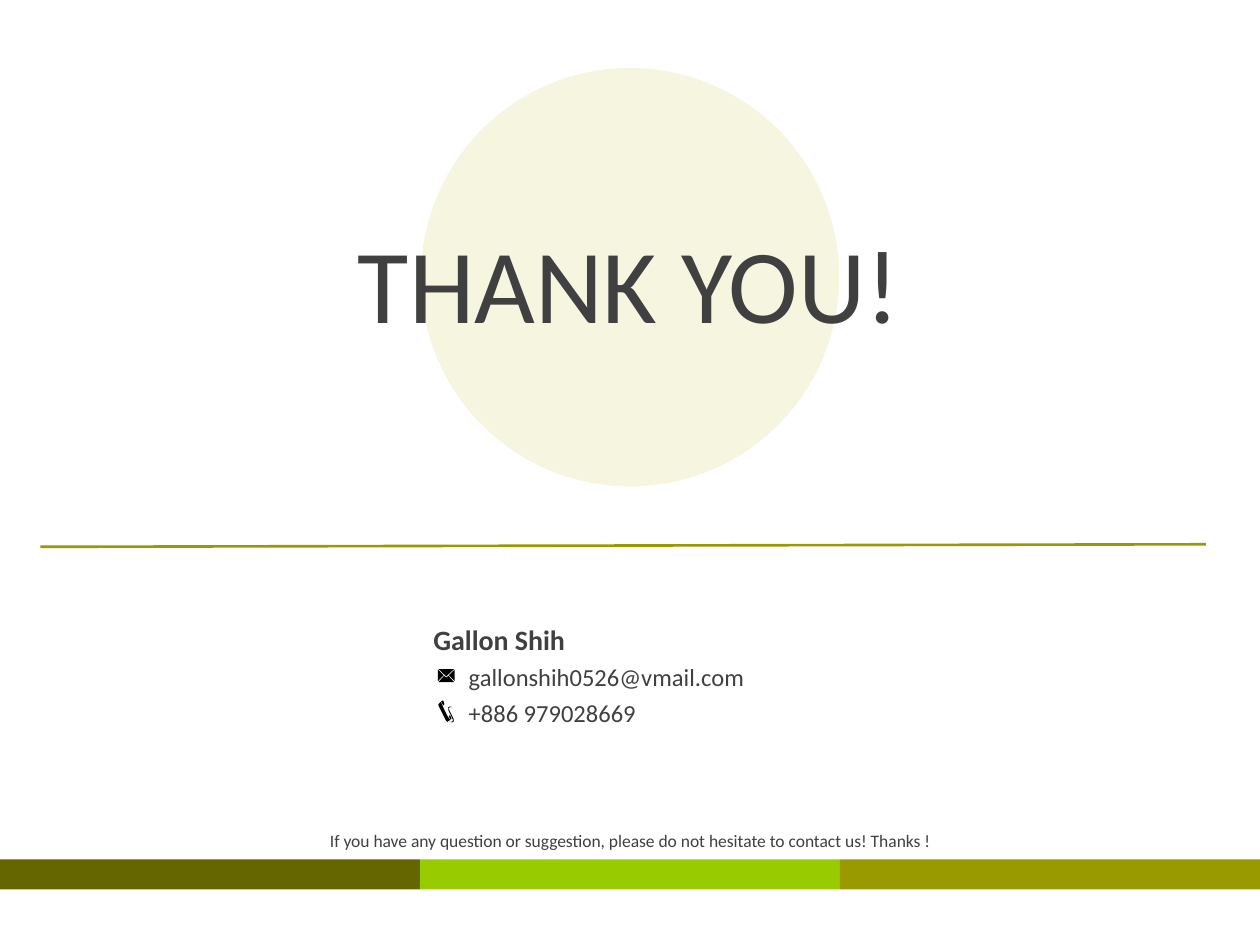
"""Build a closing slide with a thank-you title and contact details."""
import pptx
import pptx.dml.color
import pptx.enum.shapes
import pptx.enum.text
import pptx.oxml
import pptx.util
from pptx.util import Inches

SHAPE = pptx.enum.shapes.MSO_SHAPE
ALIGN = pptx.enum.text.PP_ALIGN
ANCHOR = pptx.enum.text.MSO_ANCHOR
A_NS = 'xmlns:a="http://schemas.openxmlformats.org/drawingml/2006/main"'


def rgb(value):
    return pptx.dml.color.RGBColor.from_string(value)


class Deck:
    font = "Calibri"
    ink = "404040"
    olive = "999900"

    def __init__(self):
        self.prs = pptx.Presentation()
        self.prs.slide_width, self.prs.slide_height = Inches(10), Inches(7.5)
        self.s = self.prs.slides.add_slide(self.prs.slide_layouts[1])

    def paint(self, sp, color):
        sp.shadow.inherit = False
        sp.fill.solid()
        sp.fill.fore_color.rgb = rgb(color)
        sp.line.fill.background()

    def shape(self, kind, x, y, w, h, color):
        sp = self.s.shapes.add_shape(kind, Inches(x), Inches(y), Inches(w), Inches(h))
        self.paint(sp, color)

    def outline(self, points, color="000000"):
        fb = self.s.shapes.build_freeform(*points[0], scale=Inches(1) / 1000)
        fb.add_line_segments(points[1:], close=True)
        self.paint(fb.convert_to_shape(), color)

    def rule(self, x1, y1, x2, y2):
        kind = pptx.enum.shapes.MSO_CONNECTOR.STRAIGHT
        sp = self.s.shapes.add_connector(kind, Inches(x1), Inches(y1), Inches(x2), Inches(y2))
        sp.line.color.rgb = rgb(self.olive)
        sp.line.width = pptx.util.Pt(1.5)
        sp._element.spPr.append(pptx.oxml.parse_xml(f"<a:effectLst {A_NS}/>"))

    def set_text(self, sp, box, lines, align=ALIGN.LEFT, spacing=1.0, anchor=ANCHOR.TOP):
        sp.left, sp.top, sp.width, sp.height = map(Inches, box)
        tf = sp.text_frame
        tf.word_wrap = True
        tf.auto_size = pptx.enum.text.MSO_AUTO_SIZE.NONE
        tf.vertical_anchor = anchor
        tf.text = "\n".join(text for text, *_ in lines)
        for p, (_, size, bold, indent) in zip(tf.paragraphs, lines):
            p.alignment = align
            p.line_spacing = spacing
            p.space_before = pptx.util.Pt(0)
            pPr = p._p.get_or_add_pPr()
            pPr.set("marL", str(Inches(indent)))
            pPr.set("indent", "0")
            pPr.append(pptx.oxml.parse_xml(f"<a:buNone {A_NS}/>"))
            for r in p.runs:
                r.font.name = self.font
                r.font.size = pptx.util.Pt(size)
                r.font.bold = bold
                r.font.color.rgb = rgb(self.ink)

    def placeholder(self, idx, box, lines, **style):
        sp = self.s.placeholders[idx]
        self.s.shapes._spTree.append(sp._element)
        self.set_text(sp, box, lines, **style)

    def textbox(self, box, lines, **style):
        self.set_text(self.s.shapes.add_textbox(0, 0, 0, 0), box, lines, **style)


ENVELOPE = [
    [(3542, 5368), (3604, 5310), (3480, 5310)],
    [(3609, 5314), (3563, 5359), (3609, 5406)],
    [(3476, 5314), (3476, 5406), (3521, 5359)],
    [(3559, 5363), (3542, 5378), (3525, 5363), (3480, 5413), (3604, 5413)],
]
PHONE = [
    [(3480, 5590), (3500, 5570), (3512, 5600), (3530, 5640), (3550, 5680),
     (3573, 5715), (3550, 5730), (3540, 5720), (3510, 5660), (3480, 5600)],
    [(3562, 5680), (3572, 5678), (3584, 5700), (3582, 5708), (3574, 5712)],
    [(3528, 5590), (3518, 5598), (3502, 5568), (3510, 5560), (3520, 5562)],
    [(3590, 5612), (3570, 5612), (3562, 5625), (3570, 5645), (3600, 5705),
     (3602, 5725), (3590, 5733), (3565, 5730), (3590, 5728), (3596, 5715),
     (3580, 5680), (3560, 5640), (3558, 5615), (3570, 5607)],
]


def main():
    deck = Deck()
    deck.rule(0.32, 4.34, 9.57, 4.32)
    band = 10 / 3
    for i, color in enumerate(("666600", "99CC00", deck.olive)):
        deck.shape(SHAPE.RECTANGLE, i * band, 6.82, band, 0.24, color)
    deck.shape(SHAPE.OVAL, 3.34, 0.54, 3.32, 3.32, "F5F5E0")
    deck.placeholder(0, (2.74, 1.89, 4.53, 0.88), [("THANK YOU!", 60, False, 0)],
                     spacing=0.8, anchor=ANCHOR.MIDDLE)
    closing = "If you have any question or suggestion, please do not hesitate to contact us! Thanks !"
    deck.textbox((0, 6.54, 10, 0.27), [(closing, 10, False, 0)], align=ALIGN.CENTER)
    for points in ENVELOPE + PHONE:
        deck.outline(points)
    contact = [("Gallon Shih", 16, True, 0),
               ("gallonshih0526@vmail.com", 14, False, 0.28),
               ("+886 979028669", 14, False, 0.28)]
    deck.placeholder(1, (3.34, 4.84, 3.4, 0.99), contact, spacing=1.2)
    deck.prs.save("out.pptx")


if __name__ == "__main__":
    main()
